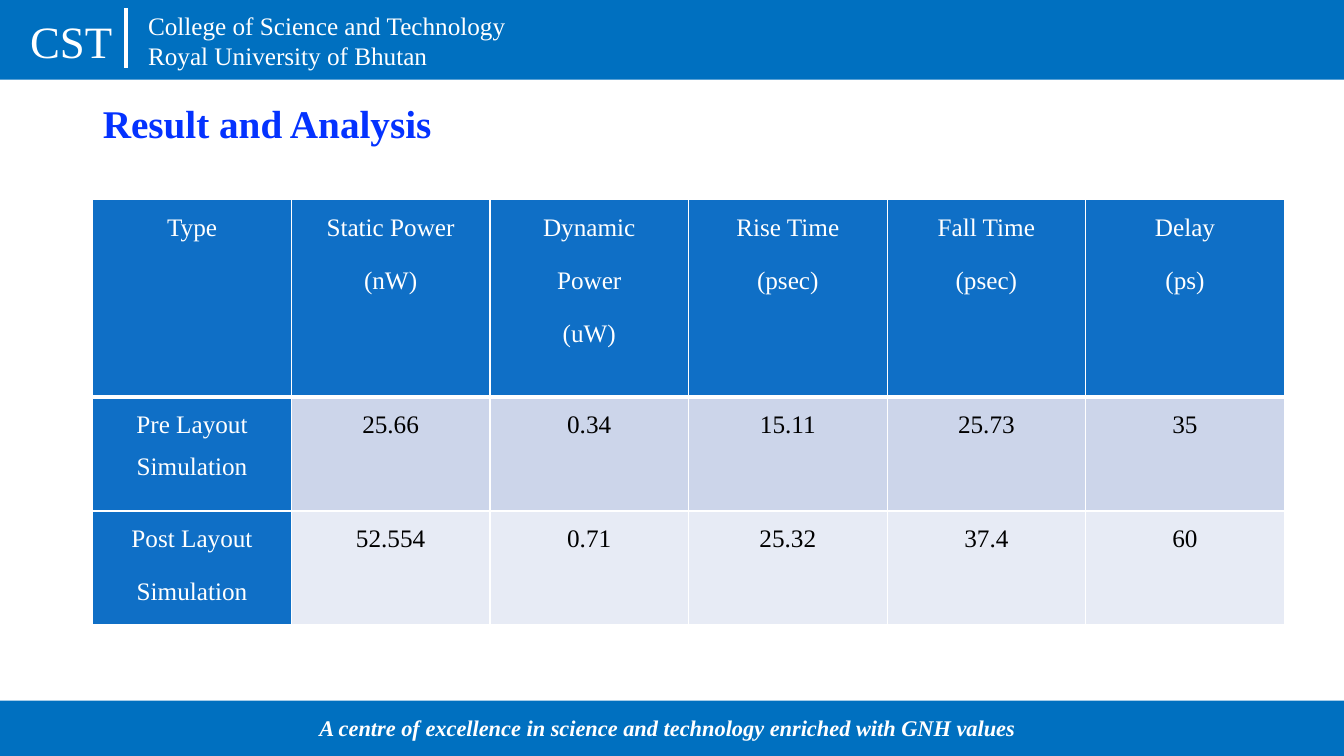
from dataclasses import dataclass

from lxml import etree
from pptx import Presentation
from pptx import util as u
from pptx.dml.color import RGBColor
from pptx.enum import shapes, text
from pptx.oxml.ns import qn

FONT = "Times New Roman"
WHITE, BLACK = "FFFFFF", "000000"
BAR_BLUE, CELL_BLUE, TITLE_BLUE = "0070C0", "0F6FC6", "0432FF"
BAND_FILLS = ("CCD5EA", "E7EBF5")
WIDTH, HEIGHT = u.Inches(13.33), u.Inches(7.5)


@dataclass(frozen=True)
class Area:
    """Left, top, width and height in percent of the slide."""
    left: float
    top: float
    width: float
    height: float

    def lengths(self) -> tuple[int, int, int, int]:
        return across(self.left), down(self.top), across(self.width), down(self.height)


@dataclass(frozen=True)
class Label:
    area: Area
    lines: tuple[str, ...]
    size: float
    emphasis: bool = False


BARS = (Area(0, 92.67, 100, 7.33), Area(0, 0, 100, 10.53))
LABELS = (
    Label(Area(23.03, 93.87, 54.2, 4.93),
          ("A centre of excellence in science and technology enriched with GNH values",),
          16, True),
    Label(Area(1.5, 1.2, 7.8, 8.53), ("CST",), 32),
    Label(Area(10.28, 0.67, 28.36, 9.47),
          ("College of Science and Technology", "Royal University of Bhutan"), 18),
)
TITLE_AREA = Area(6.9, 11.33, 93.1, 10.67)
TABLE_AREA = Area(6.9, 26.4, 88.67, 56.27)
ROW_HEIGHTS = (26.13, 15.07, 15.07)
# A line break inside a cell starts a new paragraph
RESULTS = (
    ("Type", "Static Power\n(nW)", "Dynamic\nPower\n(uW)",
     "Rise Time\n(psec)", "Fall Time\n(psec)", "Delay\n(ps)"),
    ("Pre Layout Simulation", "25.66", "0.34", "15.11", "25.73", "35"),
    ("Post Layout\nSimulation", "52.554", "0.71", "25.32", "37.4", "60"),
)


def across(percent: float) -> int:
    return round(WIDTH * percent / 100)


def down(percent: float) -> int:
    return round(HEIGHT * percent / 100)


def colour(value: str) -> RGBColor:
    return RGBColor.from_string(value)


def style(para, size: float, value: str, bold: bool = False, italic: bool = False) -> None:
    font = para.font
    font.name, font.size, font.bold, font.italic = FONT, u.Pt(size), bold, italic
    font.color.rgb = colour(value)


def add_bar(page, area: Area) -> None:
    bar = page.shapes.add_shape(shapes.MSO_SHAPE.RECTANGLE, *area.lengths())
    bar.shadow.inherit = False
    bar.fill.solid()
    bar.fill.fore_color.rgb = colour(BAR_BLUE)
    bar.line.fill.background()


def add_label(page, label: Label) -> None:
    box = page.shapes.add_textbox(*label.area.lengths())
    frame = box.text_frame
    frame.word_wrap = True
    frame.text = "\n".join(label.lines)
    for para in frame.paragraphs:
        style(para, label.size, WHITE, label.emphasis, label.emphasis)


def add_divider(page) -> None:
    divider = page.shapes.add_connector(
        shapes.MSO_CONNECTOR.STRAIGHT, across(9.38), down(1.07), across(9.38), down(8.93))
    divider.line.color.rgb = colour(WHITE)
    divider.line.width = u.Pt(3)
    etree.SubElement(divider.element.spPr, qn("a:effectLst"))


def add_title(page) -> None:
    title = page.shapes.title
    title.left, title.top, title.width, title.height = TITLE_AREA.lengths()
    frame = title.text_frame
    frame.text = "Result and Analysis"
    frame.vertical_anchor = text.MSO_ANCHOR.MIDDLE
    para = frame.paragraphs[0]
    para.alignment = text.PP_ALIGN.LEFT
    para.line_spacing = 0.9
    style(para, 28, TITLE_BLUE, bold=True)


def add_border(cell, side: str, points: float) -> None:
    properties = cell._tc.get_or_add_tcPr()
    edge = etree.SubElement(properties, qn(f"a:ln{side}"), w=str(u.Pt(points)))
    fill = etree.SubElement(edge, qn("a:solidFill"))
    etree.SubElement(fill, qn("a:srgbClr"), val=WHITE)


def fill_cell(cell, words: str, row: int, column: int) -> None:
    heading = row == 0 or column == 0
    # Borders come before the fill; the rule under the header is heavier
    for side in "LRTB":
        under_header = (row, side) in ((0, "B"), (1, "T"))
        add_border(cell, side, 3 if under_header else 1)
    cell.fill.solid()
    cell.fill.fore_color.rgb = colour(CELL_BLUE if heading else BAND_FILLS[row - 1])
    cell.margin_left = cell.margin_right = u.Inches(0.07)
    cell.margin_top = cell.margin_bottom = 0
    cell.text_frame.text = words
    for para in cell.text_frame.paragraphs:
        para.alignment = text.PP_ALIGN.CENTER
        para.line_spacing = 1.5
        para.space_after = u.Pt(8)
        style(para, 18, WHITE if heading else BLACK)


def add_results(page) -> None:
    table = page.shapes.add_table(
        len(RESULTS), len(RESULTS[0]), *TABLE_AREA.lengths()).table
    for row, (height, values) in enumerate(zip(ROW_HEIGHTS, RESULTS)):
        table.rows[row].height = down(height)
        for column, words in enumerate(values):
            fill_cell(table.cell(row, column), words, row, column)


def main() -> None:
    deck = Presentation()
    deck.slide_width, deck.slide_height = WIDTH, HEIGHT
    page = deck.slides.add_slide(deck.slide_layouts[5])

    # Header and footer bands
    for area in BARS:
        add_bar(page, area)
    for label in LABELS:
        add_label(page, label)
    add_divider(page)

    # Content
    add_results(page)
    add_title(page)
    deck.save("out.pptx")


if __name__ == "__main__":
    main()
